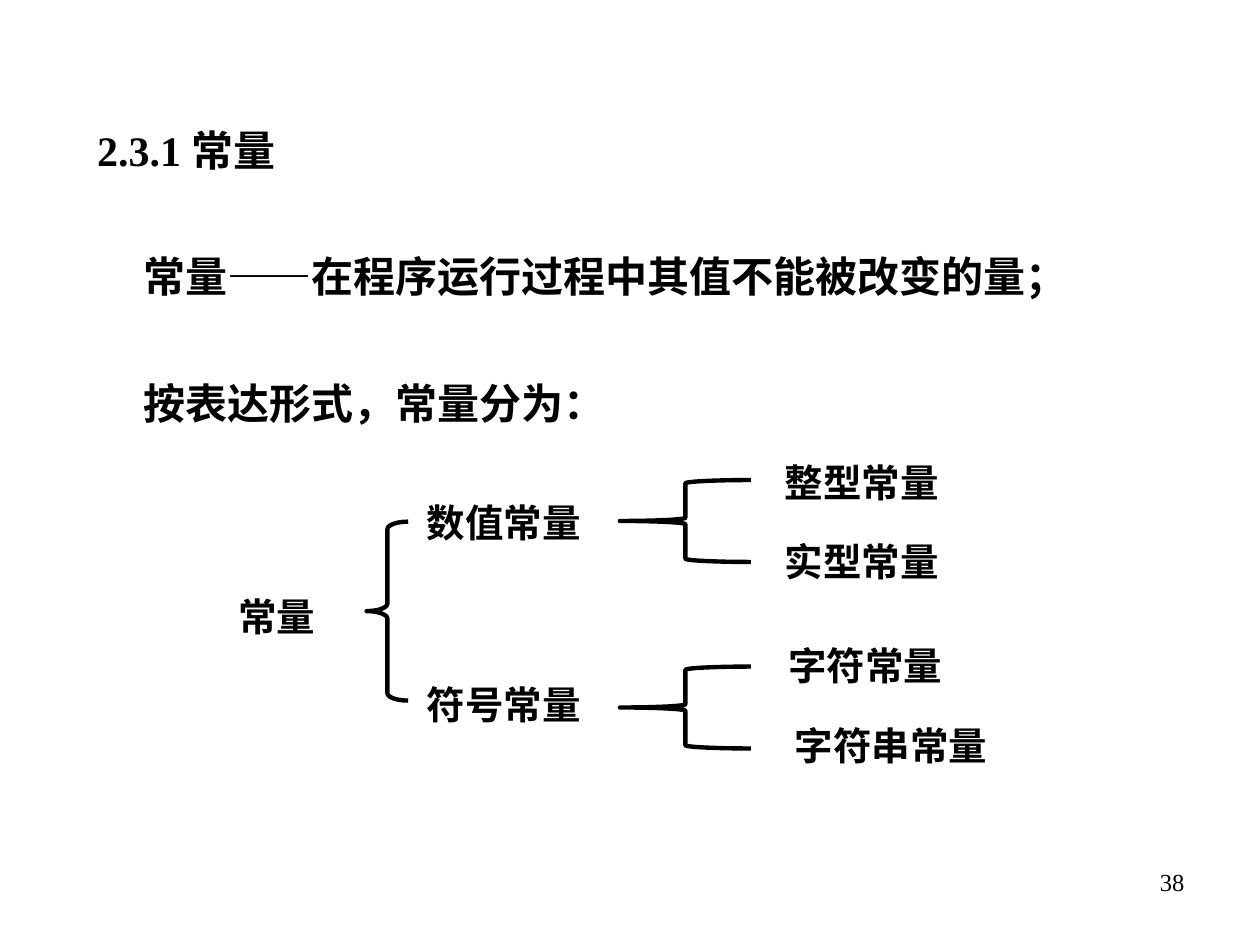
import pptx
import pptx.util
import pptx.dml.color
import pptx.enum.lang
import pptx.enum.shapes
import pptx.enum.text

Inches, Pt = pptx.util.Inches, pptx.util.Pt
ALIGN = pptx.enum.text.PP_ALIGN
BLACK = pptx.dml.color.RGBColor(0, 0, 0)
FONT = "Times New Roman"
TITLE_ONLY = 5

# Content
TITLE = "2.3.1 常量"
BODY = ["常量——在程序运行过程中其值不能被改变的量；", "按表达形式，常量分为："]
PAGE_NUMBER = "38"

# Tree labels: text, left, top, width, alignment
LABELS = [
    ("常量", 0.9, 4.66, 2.59, ALIGN.CENTER),
    ("数值常量", 3.29, 3.91, 2.28, ALIGN.LEFT),
    ("符号常量", 3.29, 5.36, 2.71, ALIGN.LEFT),
    ("整型常量", 6.13, 3.59, 2.58, ALIGN.LEFT),
    ("实型常量", 6.13, 4.22, 2.58, ALIGN.LEFT),
    ("字符常量", 6.16, 5.05, 2.44, ALIGN.LEFT),
    ("字符串常量", 6.21, 5.68, 2.81, ALIGN.LEFT),
]

# Braces: left, top, width, height, curl relative to the shorter side
BRACES = [
    (2.91, 4.14, 0.33, 1.42, 0.18),
    (4.92, 3.81, 1.04, 0.65, 0.04),
    (4.92, 5.29, 1.04, 0.65, 0.04),
]

# Heading and body share one column and one line rhythm
TEXT_LEFT, TEXT_WIDTH = 0.67, 8.78
TITLE_TOP, LINE_PITCH = 0.54, 1.0
BODY_INDENT = 0.37


def write_lines(shape, lines, size, bold=True, align=ALIGN.LEFT,
                line_spacing=None, space_before=0, indent=0):
    frame = shape.text_frame
    frame.word_wrap = True
    frame.auto_size = pptx.enum.text.MSO_AUTO_SIZE.NONE
    frame.vertical_anchor = pptx.enum.text.MSO_ANCHOR.TOP
    for index, line in enumerate(lines):
        paragraph = frame.add_paragraph() if index else frame.paragraphs[0]
        paragraph.alignment = align
        paragraph.space_before = Pt(space_before if index else 0)
        if line_spacing:
            paragraph.line_spacing = line_spacing
        if indent:
            paragraph._p.get_or_add_pPr().set("marL", str(Inches(indent)))
        run = paragraph.add_run()
        run.text = line
        font = run.font
        font.name, font.size, font.bold = FONT, Pt(size), bold
        font.color.rgb = BLACK
        font.language_id = pptx.enum.lang.MSO_LANGUAGE_ID.SIMPLIFIED_CHINESE


def add_text(slide, box, lines, size, **style):
    shape = slide.shapes.add_textbox(*map(Inches, box))
    write_lines(shape, lines, size, **style)


def add_brace(slide, left, top, width, height, curl):
    brace = slide.shapes.add_shape(
        pptx.enum.shapes.MSO_SHAPE.LEFT_BRACE,
        *map(Inches, (left, top, width, height)))
    brace.adjustments[0] = curl
    brace.shadow.inherit = False
    brace.fill.background()
    brace.line.color.rgb = BLACK
    brace.line.width = Pt(2.5)


def main():
    presentation = pptx.Presentation()
    presentation.slide_width, presentation.slide_height = Inches(10), Inches(7.5)
    slide = presentation.slides.add_slide(presentation.slide_layouts[TITLE_ONLY])

    # Heading
    title = slide.shapes.title
    title.left, title.top = Inches(TEXT_LEFT), Inches(TITLE_TOP)
    title.width, title.height = Inches(TEXT_WIDTH), Inches(LINE_PITCH)
    write_lines(title, [TITLE], 24, line_spacing=2)

    # Definition
    body_box = (TEXT_LEFT, TITLE_TOP + LINE_PITCH, TEXT_WIDTH, 1.92)
    add_text(slide, body_box, BODY, 24, line_spacing=2, space_before=15,
             indent=BODY_INDENT)

    # Classification tree
    for text, left, top, width, align in LABELS:
        add_text(slide, (left, top, width, 0.47), [text], 22, align=align)
    for brace in BRACES:
        add_brace(slide, *brace)

    # Page number
    add_text(slide, (7.17, 6.83, 2.33, 0.52), [PAGE_NUMBER], 14,
             bold=False, align=ALIGN.RIGHT)

    presentation.save("out.pptx")


if __name__ == "__main__":
    main()
